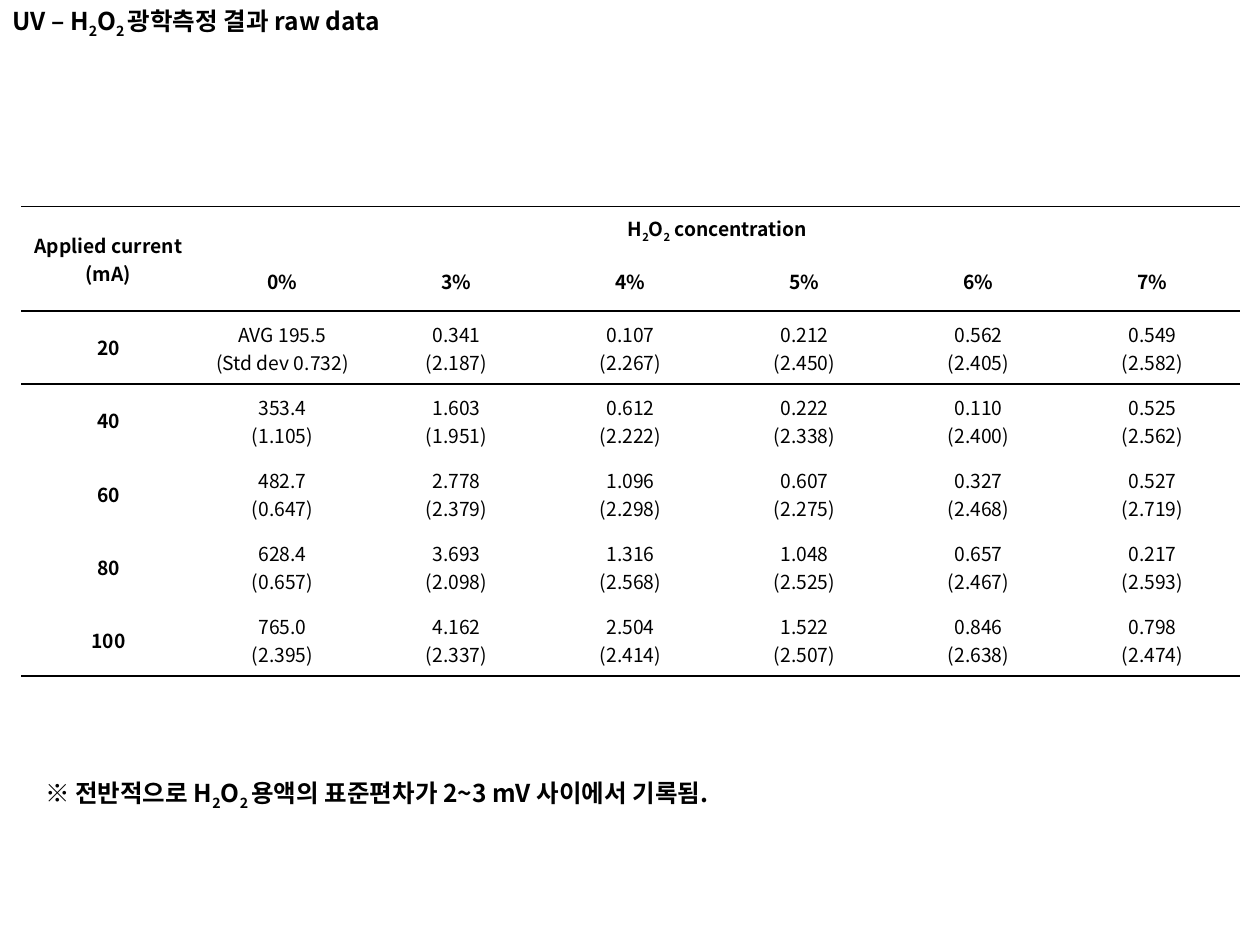
from dataclasses import dataclass

from lxml.etree import SubElement
from pptx import Presentation
from pptx.dml.color import RGBColor
from pptx.enum.text import MSO_ANCHOR as Anchor, MSO_AUTO_SIZE as AutoSize, PP_ALIGN as Align
from pptx.oxml.ns import qn
from pptx.util import Inches, Pt

BLACK = RGBColor(0, 0, 0)
FONT = "Noto Sans CJK KR"
NO_STYLE = "{2D5ABB26-0587-4C30-8999-92F81FD0307C}"
CELL_MARGINS = {"margin_left": Inches(0.01), "margin_right": Inches(0.01),
                "margin_top": Inches(0.01), "margin_bottom": Inches(0)}


@dataclass(frozen=True)
class Label:
    left: float
    top: float
    width: float
    height: float
    text: str
    line_spacing: float | None = None


@dataclass(frozen=True)
class Measurement:
    current: str
    means: tuple[str, ...]
    deviations: tuple[str, ...]


LABELS = (
    Label(0, 0, 3.44, 0.34, "UV – H|2|O|2 |광학측정 결과 raw data"),
    Label(0.26, 5.99, 5.97, 0.45,
          "※ 전반적으로 H|2|O|2 |용액의 표준편차가 2~3 mV 사이에서 기록됨.", 1.5),
)
CONCENTRATIONS = ("0%", "3%", "4%", "5%", "6%", "7%")
MEASUREMENTS = (
    Measurement("20", ("AVG 195.5", "0.341", "0.107", "0.212", "0.562", "0.549"),
                ("Std dev 0.732", "2.187", "2.267", "2.450", "2.405", "2.582")),
    Measurement("40", ("353.4", "1.603", "0.612", "0.222", "0.110", "0.525"),
                ("1.105", "1.951", "2.222", "2.338", "2.400", "2.562")),
    Measurement("60", ("482.7", "2.778", "1.096", "0.607", "0.327", "0.527"),
                ("0.647", "2.379", "2.298", "2.275", "2.468", "2.719")),
    Measurement("80", ("628.4", "3.693", "1.316", "1.048", "0.657", "0.217"),
                ("0.657", "2.098", "2.568", "2.525", "2.467", "2.593")),
    Measurement("100", ("765.0", "4.162", "2.504", "1.522", "0.846", "0.798"),
                ("2.395", "2.337", "2.414", "2.507", "2.638", "2.474")),
)
HEADER_HEIGHT = Inches(0.36)
DATA_HEIGHT = Inches(0.58)
RULED_ROWS = (1, 2, 6)


def set_values(target, values: dict) -> None:
    for name, value in values.items():
        setattr(target, name, value)


def write_paragraph(paragraph, text: str, size: int, bold: bool) -> None:
    for index, part in enumerate(text.split("|")):
        run = paragraph.add_run()
        run.text = part
        set_values(run.font, {"name": FONT, "size": Pt(size), "bold": bold})
        run.font.color.rgb = BLACK
        properties = run.font._element
        SubElement(properties, qn("a:ea"), typeface=FONT)
        if index % 2:
            properties.set("baseline", "-25000")


def add_label(slide, label: Label) -> None:
    box = slide.shapes.add_textbox(Inches(label.left), Inches(label.top),
                                   Inches(label.width), Inches(label.height))
    set_values(box.text_frame, {"word_wrap": False, "auto_size": AutoSize.SHAPE_TO_FIT_TEXT})
    paragraph = box.text_frame.paragraphs[0]
    paragraph.line_spacing = label.line_spacing
    write_paragraph(paragraph, label.text, 14, True)


def write_cell(cell, lines: tuple[str, ...], bold: bool = True) -> None:
    cell.vertical_anchor = Anchor.MIDDLE
    frame = cell.text_frame
    for index, line in enumerate(lines):
        paragraph = frame.add_paragraph() if index else frame.paragraphs[0]
        paragraph.alignment = Align.CENTER
        write_paragraph(paragraph, line, 11, bold)


def add_rule(cell, edge: str) -> None:
    line = SubElement(cell._tc.get_or_add_tcPr(), qn(f"a:{edge}"), w=str(Pt(1)))
    fill = SubElement(line, qn("a:solidFill"))
    SubElement(fill, qn("a:srgbClr"), val=str(BLACK))


def add_results_table(slide) -> None:
    frame = slide.shapes.add_table(len(MEASUREMENTS) + 2, len(CONCENTRATIONS) + 1,
                                   Inches(0.17), Inches(1.64), Inches(9.67), Inches(3.61))
    table = frame.table
    set_values(table, {"first_row": False, "horz_banding": False})
    table._tbl.tblPr.find(qn("a:tableStyleId")).text = NO_STYLE
    for index, row in enumerate(table.rows):
        row.height = HEADER_HEIGHT if index < 2 else DATA_HEIGHT
        for column, cell in enumerate(row.cells):
            if index == 0:
                add_rule(cell, "lnT")
            if index in RULED_ROWS or (index, column) == (0, 0):
                add_rule(cell, "lnB")
            cell.fill.background()
    table.cell(0, 0).merge(table.cell(1, 0))
    table.cell(0, 1).merge(table.cell(0, len(CONCENTRATIONS)))
    write_cell(table.cell(0, 0), ("Applied current", "(mA)"))
    write_cell(table.cell(0, 1), ("H|2|O|2| concentration",))
    for column, concentration in enumerate(CONCENTRATIONS, 1):
        write_cell(table.cell(1, column), (concentration,))
    for index, measurement in enumerate(MEASUREMENTS, 2):
        write_cell(table.cell(index, 0), (measurement.current,))
        pairs = zip(measurement.means, measurement.deviations)
        for column, (mean, deviation) in enumerate(pairs, 1):
            cell = table.cell(index, column)
            set_values(cell, CELL_MARGINS)
            write_cell(cell, (mean, f"({deviation})"), False)


def main() -> None:
    presentation = Presentation()
    set_values(presentation, {"slide_width": Inches(10), "slide_height": Inches(7.5)})
    slide = presentation.slides.add_slide(presentation.slide_layouts[6])
    title, note = LABELS
    add_label(slide, title)
    add_results_table(slide)
    add_label(slide, note)
    presentation.save("out.pptx")


if __name__ == "__main__":
    main()
